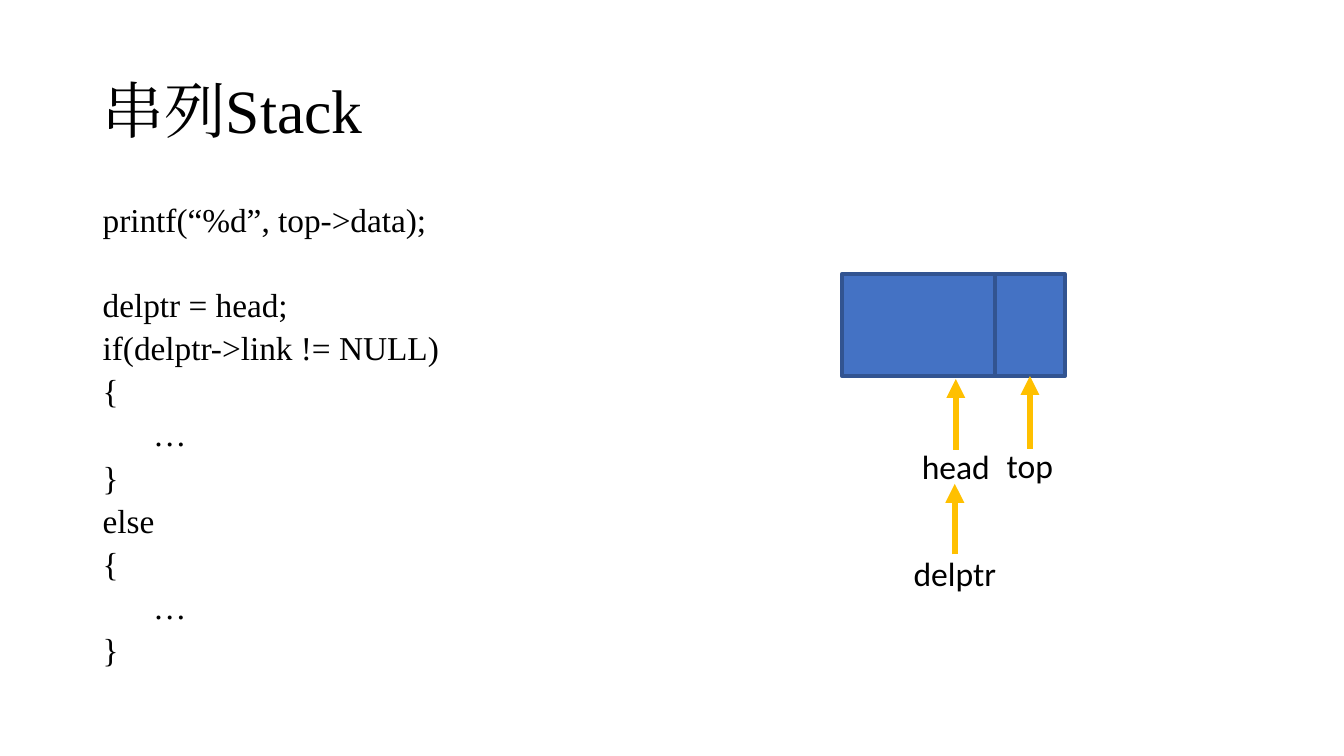
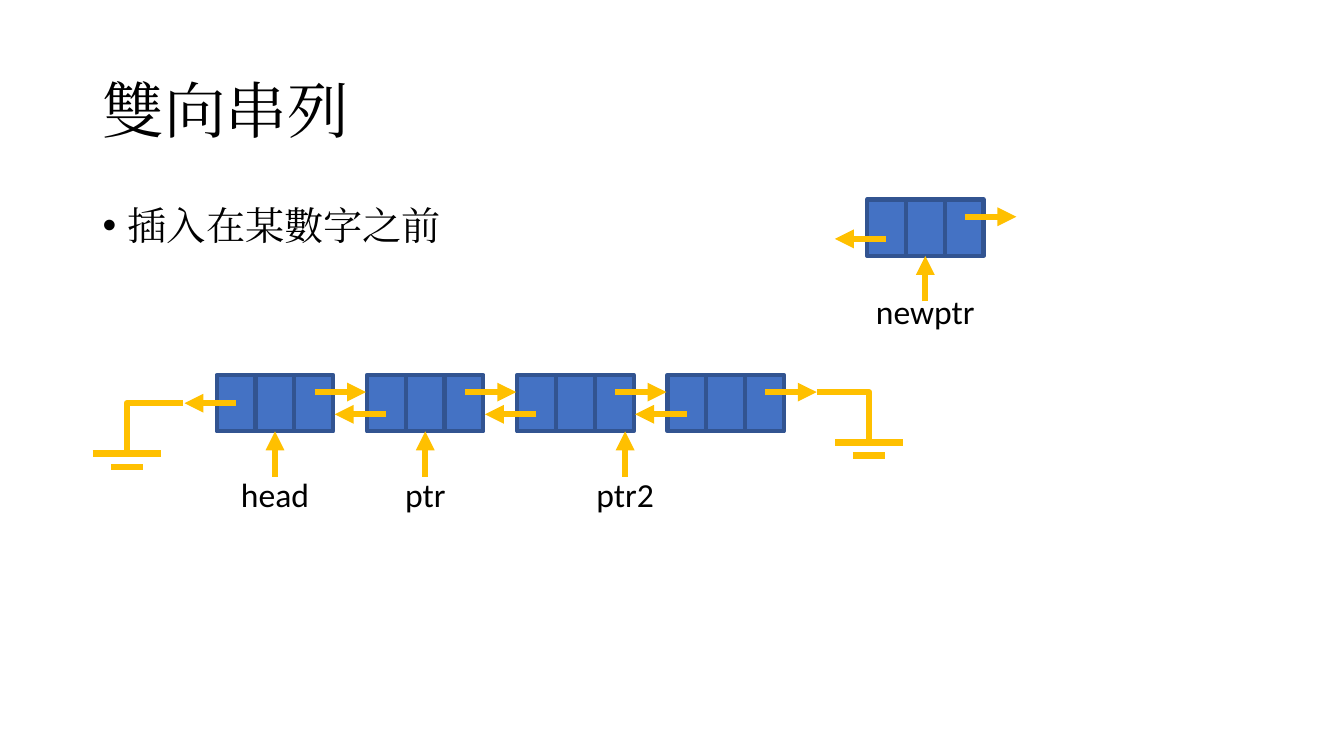
from lxml.etree import SubElement
from pptx import Presentation
from pptx.dml.color import RGBColor
from pptx.enum.shapes import MSO_CONNECTOR as Link, MSO_SHAPE as Preset
from pptx.enum.text import MSO_ANCHOR as Anchor, PP_ALIGN as Align
from pptx.oxml.ns import qn
from pptx.util import Inches, Pt

BLACK = RGBColor(0x00, 0x00, 0x00)
BLUE = RGBColor(0x44, 0x72, 0xC4)
NAVY = RGBColor(0x32, 0x54, 0x91)
GOLD = RGBColor(0xFF, 0xC0, 0x00)
SERIF, SANS = "Times New Roman", "Calibri"

TITLE_BOX = (0.92, 0.4, 11.5, 1.45)
BODY_BOX = (0.92, 2, 11.5, 4.76)
CELL_WIDTH, CELL_HEIGHT = 0.385, 0.56
NODE_PITCH = 1.49

# Code lines, with the space before each in points
CODE = [
    ("printf(“%d”, top->data);", 0),
    ("delptr = head;", 38),
    ("if(delptr->link != NULL)", 8),
    ("{", 8),
    ("\t…", 8),
    ("}", 8),
    ("else", 8),
    ("{", 8),
    ("\t…", 8),
    ("}", 8),
]


# Text
def add_text(page, box, lines, size, font=SERIF, spacing=1.0,
             anchor=Anchor.TOP, align=Align.LEFT, bullet=False):
    frame = page.shapes.add_textbox(*map(Inches, box)).text_frame
    frame.word_wrap = True
    frame.vertical_anchor = anchor
    for index, (text, before) in enumerate(lines):
        para = frame.paragraphs[0] if index == 0 else frame.add_paragraph()
        para.text = text
        para.alignment = align
        para.line_spacing = spacing
        para.space_before = Pt(before)
        props = para._p.get_or_add_pPr()
        if bullet:
            props.set("marL", str(Inches(0.25)))
            props.set("indent", str(-Inches(0.25)))
            SubElement(props, qn("a:buFont"), typeface="Arial")
            SubElement(props, qn("a:buChar"), char="•")
        para.font.size = Pt(size)
        para.font.name = font
        para.font.color.rgb = BLACK
        SubElement(props.find(qn("a:defRPr")), qn("a:ea"), typeface=font)


def add_page(deck, title):
    page = deck.slides.add_slide(deck.slide_layouts[6])
    add_text(page, TITLE_BOX, [(title, 0)], 44, spacing=0.9,
             anchor=Anchor.MIDDLE)
    return page


# Lines and arrows
def add_line(page, start, end, arrow=False, kind=Link.STRAIGHT):
    line = page.shapes.add_connector(kind, *map(Inches, (*start, *end)))
    line.line.color.rgb = GOLD
    line.line.width = Pt(4.5)
    if arrow:
        SubElement(line.get_or_add_ln(), qn("a:tailEnd"), type="triangle")
    SubElement(line._element.spPr, qn("a:effectLst"))
    return line


def add_pointer(page, label, tip, length, overlap, cell=None):
    """Draw an upward arrow with its label under it."""
    x, y = tip
    arrow = add_line(page, (x, y + length), tip, arrow=True)
    if cell is not None:
        arrow.end_connect(cell, 2)
    width = 0.2 + 0.17 * len(label)
    box = (x - width / 2, y + length - overlap, width, 0.5)
    add_text(page, box, [(label, 0)], 24, SANS, align=Align.CENTER)


def add_ground(page, start, x):
    """Draw a bent lead from start down to two bars centred on x."""
    y = start[1] + 0.5
    lead = add_line(page, start, (x, y), kind=Link.ELBOW)
    guides = lead._element.spPr.find(qn("a:prstGeom")).get_or_add_avLst()
    SubElement(guides, qn("a:gd"), name="adj1", fmla="val 100000")
    for half, drop in ((0.34, 0), (0.16, 0.13)):
        add_line(page, (x - half, y + drop), (x + half, y + drop))


# List nodes
def add_cell(page, x, y, width, height):
    cell = page.shapes.add_shape(Preset.RECTANGLE,
                                 *map(Inches, (x, y, width, height)))
    cell.shadow.inherit = False
    cell.fill.solid()
    cell.fill.fore_color.rgb = BLUE
    cell.line.color.rgb = NAVY
    cell.line.width = Pt(3)
    return cell


def add_node(page, x, y):
    """Draw a three-cell node and return its middle cell."""
    cells = [add_cell(page, x + i * CELL_WIDTH, y, CELL_WIDTH, CELL_HEIGHT)
             for i in range(3)]
    return cells[1]


def add_links(page, x, y, back_drop=0.39):
    """Draw the forward and backward arrows of the node at x, y."""
    add_line(page, (x + 0.97, y + 0.17), (x + 1.48, y + 0.17), arrow=True)
    add_line(page, (x + 0.19, y + back_drop), (x - 0.32, y + back_drop),
             arrow=True)


def add_node_pointer(page, label, x, y, cell, overlap):
    tip = (x + 1.5 * CELL_WIDTH, y + CELL_HEIGHT)
    add_pointer(page, label, tip, 0.45, overlap, cell)


# Slides
def add_stack_page(deck):
    page = add_page(deck, "串列Stack")
    add_text(page, BODY_BOX, CODE, 23.8, spacing=0.8)
    x, y, height = 8.35, 2.72, 1.01
    add_cell(page, x, y, 1.52, height)
    link_cell = add_cell(page, x + 1.52, y, 0.69, height)
    bottom = y + height
    add_pointer(page, "top", (x + 1.865, bottom), 0.72, 0.09, link_cell)
    add_pointer(page, "head", (x + 1.13, bottom + 0.03), 0.7, 0.09)
    add_pointer(page, "delptr", (x + 1.12, bottom + 1.07), 0.7, 0.06)


def add_double_list_page(deck):
    page = add_page(deck, "雙向串列")
    add_text(page, BODY_BOX, [("插入在某數字之前", 0)], 28,
             spacing=0.9, bullet=True)

    # Chain of nodes, drawn before the arrows that cross them
    y = 3.72
    lefts = [2.15 + i * NODE_PITCH for i in range(4)]
    middles = [add_node(page, x, y) for x in lefts]
    for i, x in enumerate(lefts):
        add_links(page, x, y, back_drop=0.39 if i else 0.28)
    add_ground(page, (1.82, y + 0.28), 1.26)
    add_ground(page, (8.1, y + 0.17), 8.62)
    for label, x, cell in zip(("head", "ptr"), lefts, middles):
        add_node_pointer(page, label, x, y, cell, 0.08)
    add_pointer(page, "ptr2", (lefts[2] + 1.07, y + CELL_HEIGHT), 0.45, 0.08)

    # New node to insert
    x, y = 8.6, 1.98
    cell = add_node(page, x, y)
    add_links(page, x, y)
    add_node_pointer(page, "newptr", x, y, cell, 0.15)


def main():
    deck = Presentation()
    deck.slide_width = Inches(13.33)
    deck.slide_height = Inches(7.5)
    add_stack_page(deck)
    add_double_list_page(deck)
    deck.save("out.pptx")


if __name__ == "__main__":
    main()
